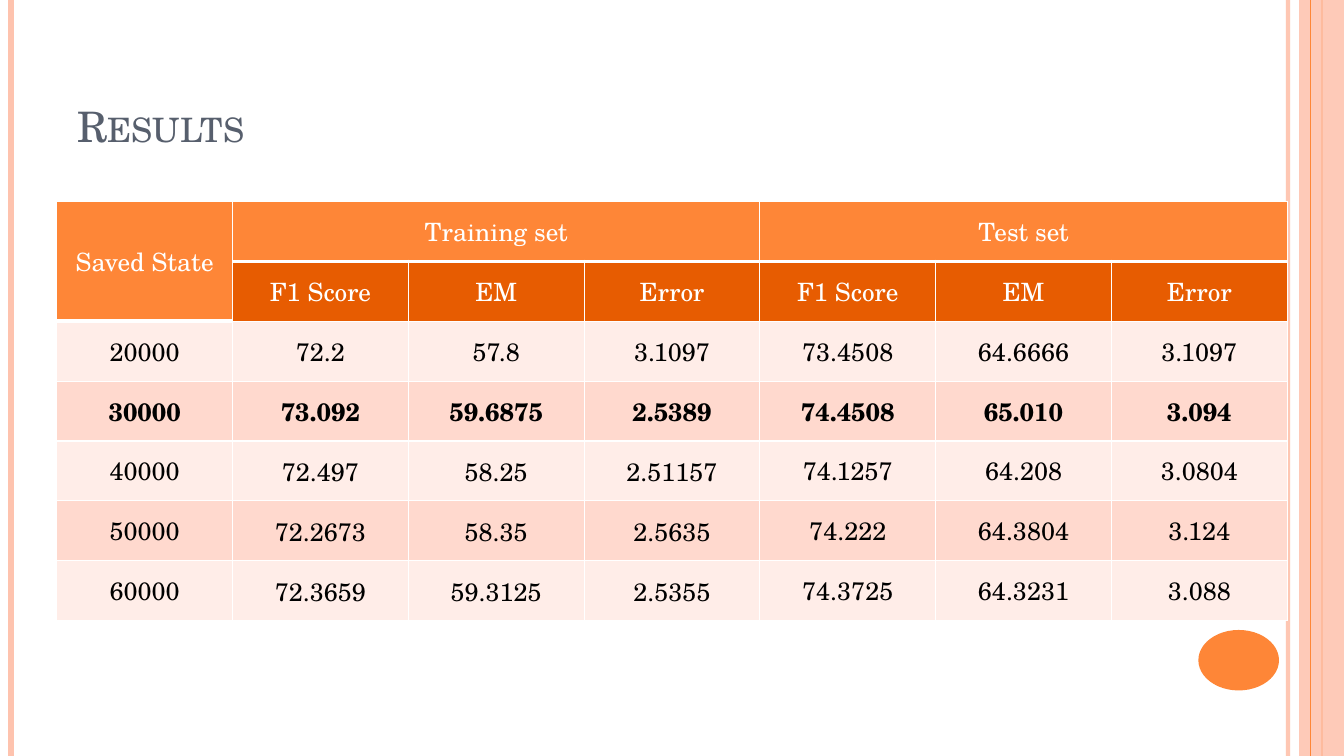
from lxml.etree import SubElement
from pptx import Presentation
from pptx.dml.color import RGBColor
from pptx.enum.shapes import MSO_CONNECTOR as CONNECTOR, MSO_SHAPE as SHAPE
from pptx.enum.text import MSO_ANCHOR as ANCHOR, PP_ALIGN as ALIGN
from pptx.oxml.ns import qn
from pptx.util import Pt

FONT = "TeX Gyre Schola"
COLORS = {
    "peach": "FEC3AE",
    "orange": "FE8637",
    "dark_orange": "E75C01",
    "light_row": "FFEDE8",
    "tinted_row": "FFD9CE",
    "slate": "575F6D",
    "white": "FFFFFF",
    "black": "000000",
}
SLIDE_W, SLIDE_H = 960, 540
TABLE_LEFT, TABLE_TOP = 40.6, 144
COLUMN_W, ROW_H = 125.55, 42.75
BEST_STATE = "30000"
METRICS = ["F1 Score", "EM", "Error"]
RESULTS = [
    ["Saved State", "Training set", "", "", "Test set", "", ""],
    ["", *METRICS, *METRICS],
    ["20000", "72.2", "57.8", "3.1097", "73.4508", "64.6666", "3.1097"],
    ["30000", "73.092", "59.6875", "2.5389", "74.4508", "65.010", "3.094"],
    ["40000", "72.497", "58.25", "2.51157", "74.1257", "64.208", "3.0804"],
    ["50000", "72.2673", "58.35", "2.5635", "74.222", "64.3804", "3.124"],
    ["60000", "72.3659", "59.3125", "2.5355", "74.3725", "64.3231", "3.088"],
]


def rgb(color):
    return RGBColor.from_string(COLORS[color])


def set_opacity(element, percent):
    """Make the one solid colour inside the element partly transparent."""
    color = next(element.iter(qn("a:srgbClr")))
    SubElement(color, qn("a:alpha"), val=str(percent * 1000))


def add_stripe(slide, x, color, width, opacity=100):
    stripe = slide.shapes.add_connector(
        CONNECTOR.STRAIGHT, Pt(x), 0, Pt(x), Pt(SLIDE_H))
    stripe.line.color.rgb = rgb(color)
    stripe.line.width = Pt(width)
    properties = stripe._element.spPr
    if opacity < 100:
        set_opacity(properties, opacity)
    SubElement(properties, qn("a:effectLst"))


def add_plain_shape(slide, kind, left, top, width, height, color):
    shape = slide.shapes.add_shape(
        kind, Pt(left), Pt(top), Pt(width), Pt(height))
    shape.shadow.inherit = False
    shape.fill.solid()
    shape.fill.fore_color.rgb = rgb(color)
    shape.line.fill.background()
    return shape


def style_run(run, size, color, bold=False):
    run.font.name = FONT
    run.font.size = Pt(size)
    run.font.color.rgb = rgb(color)
    run.font.bold = bold


def add_title(slide, text):
    title = slide.shapes.add_textbox(Pt(48), Pt(21.6), Pt(784), Pt(90))
    frame = title.text_frame
    frame.word_wrap = True
    frame.vertical_anchor = ANCHOR.BOTTOM
    frame.text = text
    run = frame.paragraphs[0].runs[0]
    style_run(run, 30, "slate")
    run._r.get_or_add_rPr().set("cap", "small")


def add_borders(cell, bottom):
    """Draw white cell edges, with the bottom one at its own width."""
    properties = cell._tc.get_or_add_tcPr()
    for side, width in (("L", 1), ("R", 1), ("T", 1), ("B", bottom)):
        edge = SubElement(properties, qn(f"a:ln{side}"), w=str(Pt(width)))
        fill = SubElement(edge, qn("a:solidFill"))
        SubElement(fill, qn("a:srgbClr"), val=COLORS["white"])


def row_fill(row, column):
    if row == 0 or (row == 1 and column == 0):
        return "orange"
    if row == 1:
        return "dark_orange"
    return "tinted_row" if row % 2 else "light_row"


def style_cell(cell, text, row, column):
    add_borders(cell, bottom=3 if row == 0 else 1)
    cell.fill.solid()
    cell.fill.fore_color.rgb = rgb(row_fill(row, column))
    cell.vertical_anchor = ANCHOR.MIDDLE
    if row >= 3 and 1 <= column <= 3:
        cell.margin_left = cell.margin_top = cell.margin_right = Pt(0.75)
        cell.margin_bottom = 0
    if text:
        cell.text_frame.text = text
        paragraph = cell.text_frame.paragraphs[0]
        paragraph.alignment = ALIGN.CENTER
        style_run(paragraph.runs[0], 18, "white" if row < 2 else "black",
                  bold=RESULTS[row][0] == BEST_STATE)


def add_results_table(slide):
    row_count, column_count = len(RESULTS), len(RESULTS[0])
    table = slide.shapes.add_table(
        row_count, column_count, Pt(TABLE_LEFT), Pt(TABLE_TOP),
        Pt(COLUMN_W * column_count), Pt(ROW_H * row_count)).table
    for column in table.columns:
        column.width = Pt(COLUMN_W)
    for row in table.rows:
        row.height = Pt(ROW_H)
    for r, values in enumerate(RESULTS):
        for c, text in enumerate(values):
            style_cell(table.cell(r, c), text, r, c)
    table.cell(0, 0).merge(table.cell(1, 0))
    for first in (1, 4):
        table.cell(0, first).merge(table.cell(0, first + 2))


def main():
    deck = Presentation()
    deck.slide_width, deck.slide_height = Pt(SLIDE_W), Pt(SLIDE_H)
    slide = deck.slides.add_slide(deck.slide_layouts[6])

    add_stripe(slide, 920, "peach", 3, opacity=93)
    add_stripe(slide, 8, "peach", 4.5)
    add_stripe(slide, 944, "orange", 1.5)
    band = add_plain_shape(
        slide, SHAPE.RECTANGLE, 928, 0, 32, SLIDE_H, "peach")
    set_opacity(band._element.spPr, 87)
    add_stripe(slide, 936, "orange", 0.75)
    add_plain_shape(slide, SHAPE.OVAL, 856, 450, 57.6, 43.2, "orange")

    add_title(slide, "Results")
    add_results_table(slide)
    deck.save("out.pptx")


if __name__ == "__main__":
    main()
